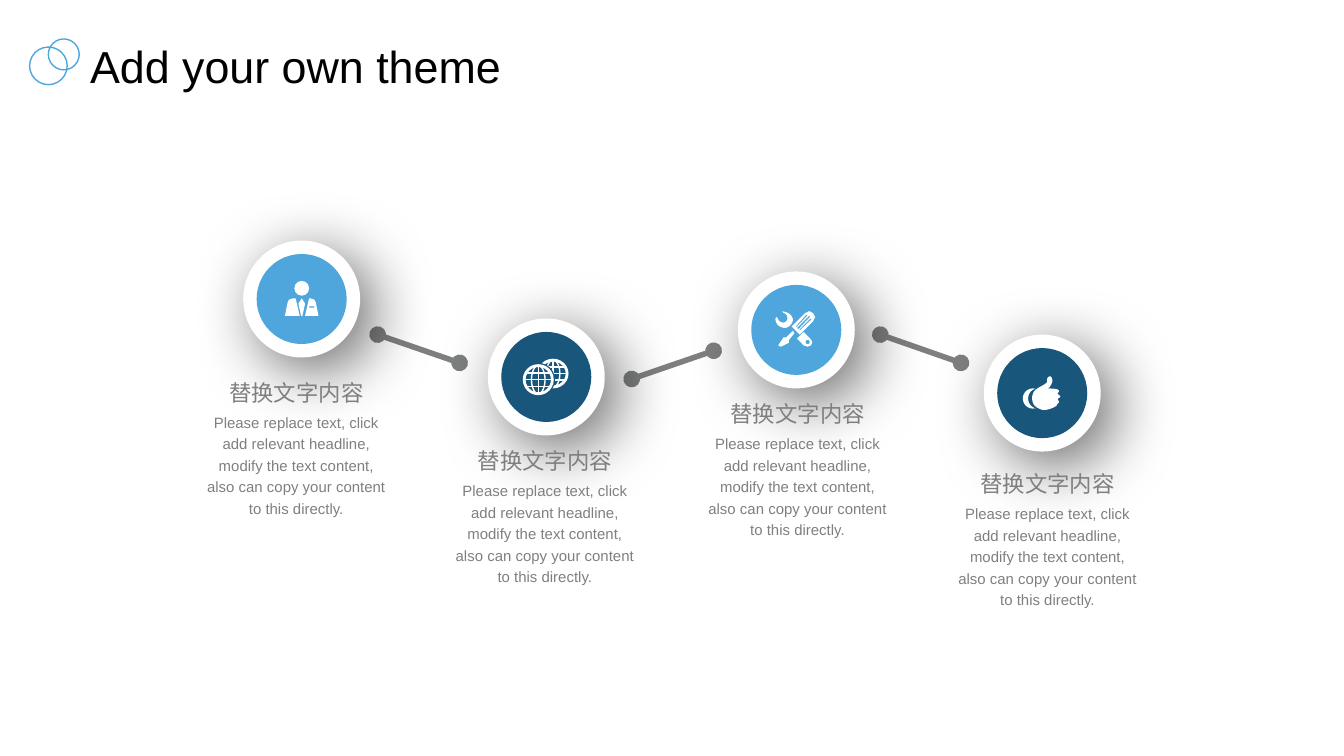
"""Build a slide with four linked icon steps under a title."""
import lxml.etree
import pptx
import pptx.dml.color
import pptx.enum.shapes
import pptx.enum.text
import pptx.oxml.ns
import pptx.util

Inches = pptx.util.Inches
MSO = pptx.enum.shapes.MSO_SHAPE
ALIGN = pptx.enum.text.PP_ALIGN
ANCHOR = pptx.enum.text.MSO_ANCHOR
qn = pptx.oxml.ns.qn

THEME = {
    "light": "4EA6DC", "dark": "18567C", "white": "FFFFFF", "black": "000000",
    "link": "7E7F80", "text": "807F7F", "font": "Arial",
    "title": 24, "head": 12, "body": 8,
}
WIDE = 10
TALL = WIDE * 9 / 16
TITLE = "Add your own theme"
HEAD = "替换文字内容"
BODY = ("Please replace text, click add relevant headline, modify the text "
        "content, also can copy your content to this directly.")
RINGS = [(0.22, 0.35, 0.28), (0.36, 0.29, 0.23)]
LINKS = [(2.81, 2.49, 3.42, 2.7), (4.7, 2.82, 5.31, 2.61), (6.55, 2.49, 7.15, 2.7)]
STEPS = [
    {"icon": "person", "disc": (1.81, 1.79), "label": (1.51, 2.82), "fill": "light"},
    {"icon": "globes", "disc": (3.63, 2.37), "label": (3.36, 3.33), "fill": "dark"},
    {"icon": "tools", "disc": (5.49, 2.02), "label": (5.24, 2.98), "fill": "light"},
    {"icon": "thumb", "disc": (7.32, 2.49), "label": (7.1, 3.5), "fill": "dark"},
]
RIM, CORE, INSET = 0.87, 0.67, 0.1
UNIT = 0.01
ICONS = {
    "person": [
        ("oval", (38, 30, 11, 11), "white"),
        ("poly", [[(31, 56), (33, 46), (34, 44), (37, 43), (39, 43), (42, 56)]]),
        ("poly", [[(54, 46), (53, 44), (50, 43), (49, 43), (46, 56), (56, 56)],
                  [(53, 50), (49, 50), (49, 49), (53, 49)]]),
        ("poly", [[(43.5, 43), (41, 47), (43, 56), (44, 56), (46, 47)]]),
    ],
    "globes": [
        ("globe", (37, 30, 23, 22)),
        ("oval", (25, 33, 25, 25), "disc"),
        ("globe", (26, 34, 23, 23)),
    ],
    "tools": [
        ("poly", [[(40, 41), (50, 31), (53, 29.5), (56, 31), (57.5, 34), (56, 37), (46, 47)],
                  [(44, 41), (43, 41), (51, 32), (52, 32.5)],
                  [(45, 43), (44, 42), (53, 33), (54, 33.5)],
                  [(46, 44), (46, 43), (54, 35), (55, 35.5)]]),
        ("poly", [[(38, 51), (42, 46), (41, 44), (36, 49), (34, 49), (30, 55),
                   (32, 56), (38, 53)]]),
        ("curve", [[(35, 30), (33, 30), (36, 32), (37, 35), (36, 37), (34, 38), (31, 37),
                    (29, 34), (28, 36), (30, 40), (35, 42), (39, 40), (41, 36), (39, 32)]]),
        ("poly", [[(49, 45), (44, 50), (49, 55), (52, 56), (54.5, 55), (55.5, 52.5), (54, 50)]]),
        ("oval", (50.5, 51, 3, 3), "disc"),
    ],
    "thumb": [
        ("oval", (29, 40, 15, 15), "white"),
        ("oval", (33, 40, 15, 15), "disc"),
        ("curve", [[(57, 46), (55, 44), (56, 42), (54, 40.5), (48, 40), (47, 40), (49, 39),
                    (51, 35), (50.5, 32), (49, 31), (47.3, 32.5), (46.5, 36), (40, 40),
                    (37, 43), (36, 48), (38, 53), (44, 56), (50, 55), (54, 53),
                    (54.5, 52), (56, 50), (55, 48)]]),
    ],
}


def tint(name):
    return pptx.dml.color.RGBColor.from_string(THEME[name])


def place(shape, box):
    shape.left, shape.top, shape.width, shape.height = map(Inches, box)


def write(shape, text, size, color="text", align=ALIGN.CENTER, space=1.0, anchor=ANCHOR.TOP):
    frame = shape.text_frame
    frame.word_wrap = True
    frame.auto_size = pptx.enum.text.MSO_AUTO_SIZE.NONE
    frame.vertical_anchor = anchor
    frame.margin_left = frame.margin_right = frame.margin_top = frame.margin_bottom = 0
    frame.text = text
    para = frame.paragraphs[0]
    para.alignment, para.line_spacing = align, space
    para.space_before = pptx.util.Pt(0)
    font = para.runs[0].font
    font.name, font.size = THEME["font"], pptx.util.Pt(THEME[size])
    font.color.rgb = tint(color)


def paint(shape, fill=None, line=None, width=0.75):
    shape.shadow.inherit = False
    if fill:
        shape.fill.solid()
        shape.fill.fore_color.rgb = tint(fill)
    else:
        shape.fill.background()
    if line:
        shape.line.color.rgb = tint(line)
        shape.line.width = pptx.util.Pt(width)
    else:
        shape.line.fill.background()
    return shape


def oval(slide, box, **style):
    return paint(slide.shapes.add_shape(MSO.OVAL, *map(Inches, box)), **style)


def shade(shape):
    host = shape._element.spPr.find(qn("a:effectLst"))
    glow = lxml.etree.SubElement(
        host, qn("a:outerShdw"), blurRad=str(pptx.util.Pt(35)),
        dist=str(pptx.util.Pt(10)), dir=str(45 * 60000), algn="ctr", rotWithShape="0")
    hue = lxml.etree.SubElement(glow, qn("a:srgbClr"), val=THEME["black"])
    lxml.etree.SubElement(hue, qn("a:alpha"), val="60000")


def link(slide, ends, color, width, dots=False):
    kind = pptx.enum.shapes.MSO_CONNECTOR.STRAIGHT
    line = slide.shapes.add_connector(kind, *map(Inches, ends))
    line.line.color.rgb = tint(color)
    line.line.width = pptx.util.Pt(width)
    props = line._element.spPr
    if dots:
        for end in ("a:headEnd", "a:tailEnd"):
            lxml.etree.SubElement(props.find(qn("a:ln")), qn(end), type="oval")
    lxml.etree.SubElement(props, qn("a:effectLst"))


def smooth(points, steps=5):
    out = []
    for i in range(len(points)):
        quad = [points[(i + k) % len(points)] for k in (-1, 0, 1, 2)]
        for t in (n / steps for n in range(steps)):
            out.append(tuple(
                b + t * (c - a) / 2 + t * t * (2 * a - 5 * b + 4 * c - d) / 2
                + t ** 3 * (3 * b - a - 3 * c + d) / 2
                for a, b, c, d in zip(*quad)))
    return out


def trace(slide, left, top, loops):
    loops = [[(Inches(left + x * UNIT), Inches(top + y * UNIT)) for x, y in loop]
             for loop in loops]
    pen = slide.shapes.build_freeform(*loops[0][0], scale=1.0)
    for i, loop in enumerate(loops):
        if i:
            pen.move_to(*loop[0])
        pen.add_line_segments(loop[1:], close=True)
    paint(pen.convert_to_shape(), fill="white")


def globe(slide, box, fill):
    x, y, w, h = box
    edge = 0.01
    oval(slide, (x + edge, y + edge, w - 2 * edge, h - 2 * edge),
         fill=fill, line="white", width=1.5)
    oval(slide, (x + w * 0.28, y + edge, w * 0.44, h - 2 * edge), line="white")
    link(slide, (x + w / 2, y, x + w / 2, y + h), "white", 0.75)
    for part, inset in ((0.28, 0.1), (0.5, 0.04), (0.72, 0.1)):
        row = y + h * part
        link(slide, (x + w * inset, row, x + w * (1 - inset), row), "white", 0.75)


def draw(slide, step):
    left, top = step["disc"]
    shade(oval(slide, (left, top, RIM, RIM), fill="white"))
    oval(slide, (left + INSET, top + INSET, CORE, CORE), fill=step["fill"])
    for kind, data, *fill in ICONS[step["icon"]]:
        if kind in ("poly", "curve"):
            trace(slide, left, top, [smooth(p) for p in data] if kind == "curve" else data)
            continue
        x, y, w, h = (n * UNIT for n in data)
        box = (left + x, top + y, w, h)
        if kind == "globe":
            globe(slide, box, step["fill"])
        else:
            oval(slide, box, fill=step["fill"] if fill[0] == "disc" else fill[0])


def label(slide, left, top):
    for text, size, space, box in (
            (HEAD, "head", 1.0, (left, top, 1.39, 0.2)),
            (BODY, "body", 1.2, (left + 0.01, top + 0.23, 1.37, 0.81))):
        write(slide.shapes.add_textbox(*map(Inches, box)), text, size, space=space)


def main():
    deck = pptx.Presentation()
    deck.slide_width, deck.slide_height = Inches(WIDE), Inches(TALL)
    slide = deck.slides.add_slide(deck.slide_layouts[5])
    title = slide.shapes.title
    place(title, (0.67, 0.21, 3.23, 0.48))
    write(title, TITLE, "title", color="black", align=ALIGN.LEFT, space=1.2,
          anchor=ANCHOR.BOTTOM)
    for x, y, size in RINGS:
        oval(slide, (x, y, size, size), line="light")
    for ends in LINKS:
        link(slide, ends, "link", 3, dots=True)
    for step in STEPS:
        draw(slide, step)
    for step in STEPS:
        label(slide, *step["label"])
    deck.save("out.pptx")


if __name__ == "__main__":
    main()
